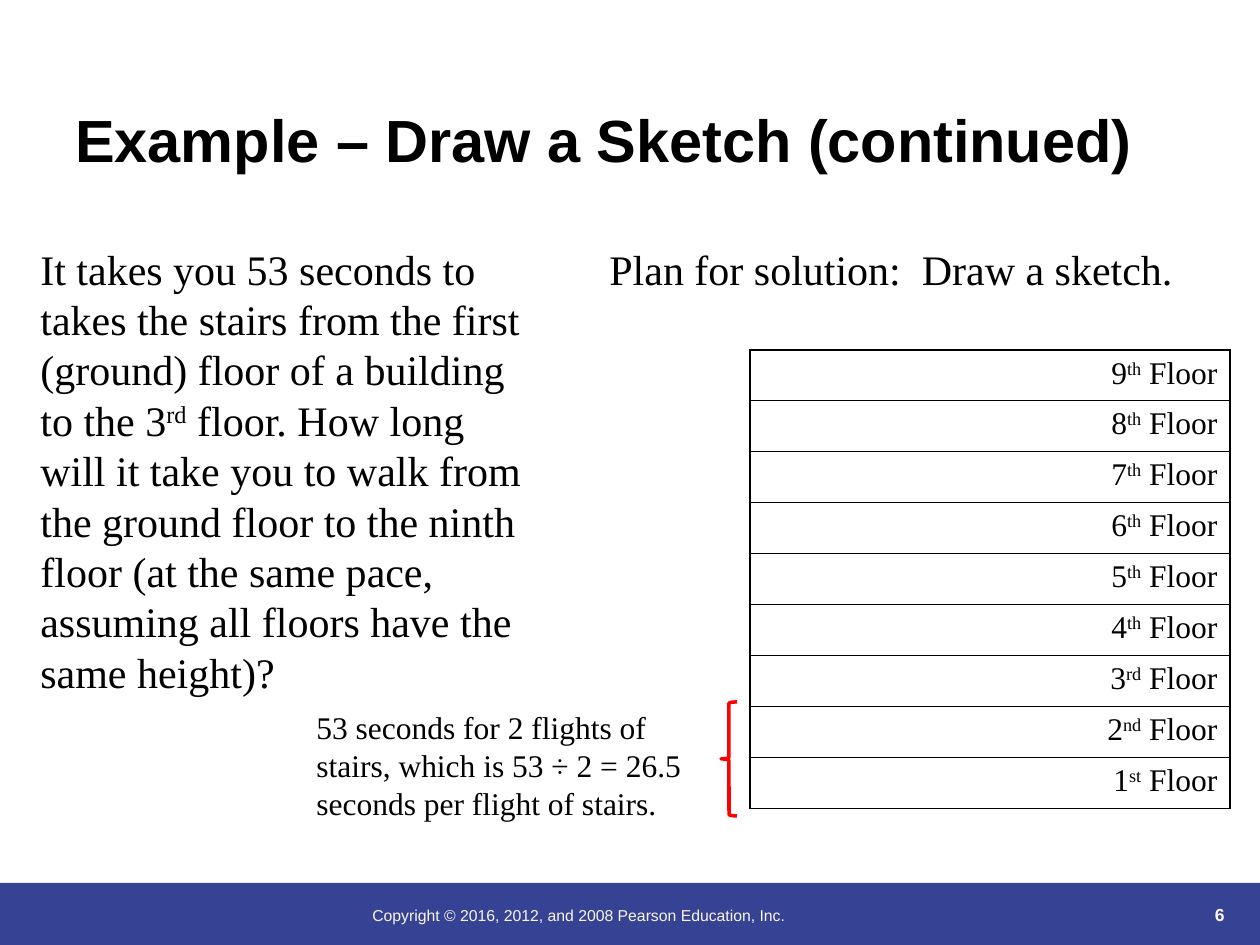
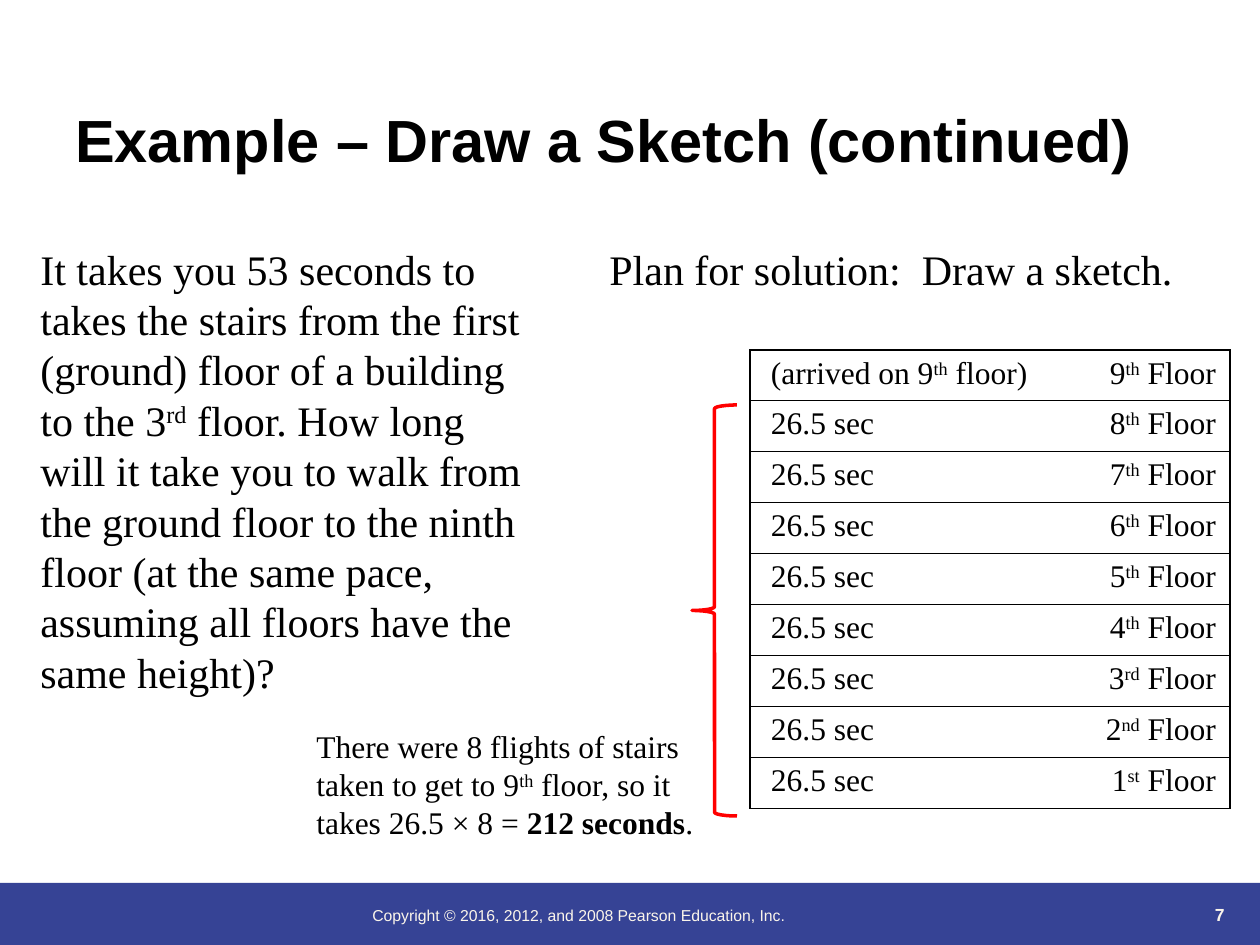
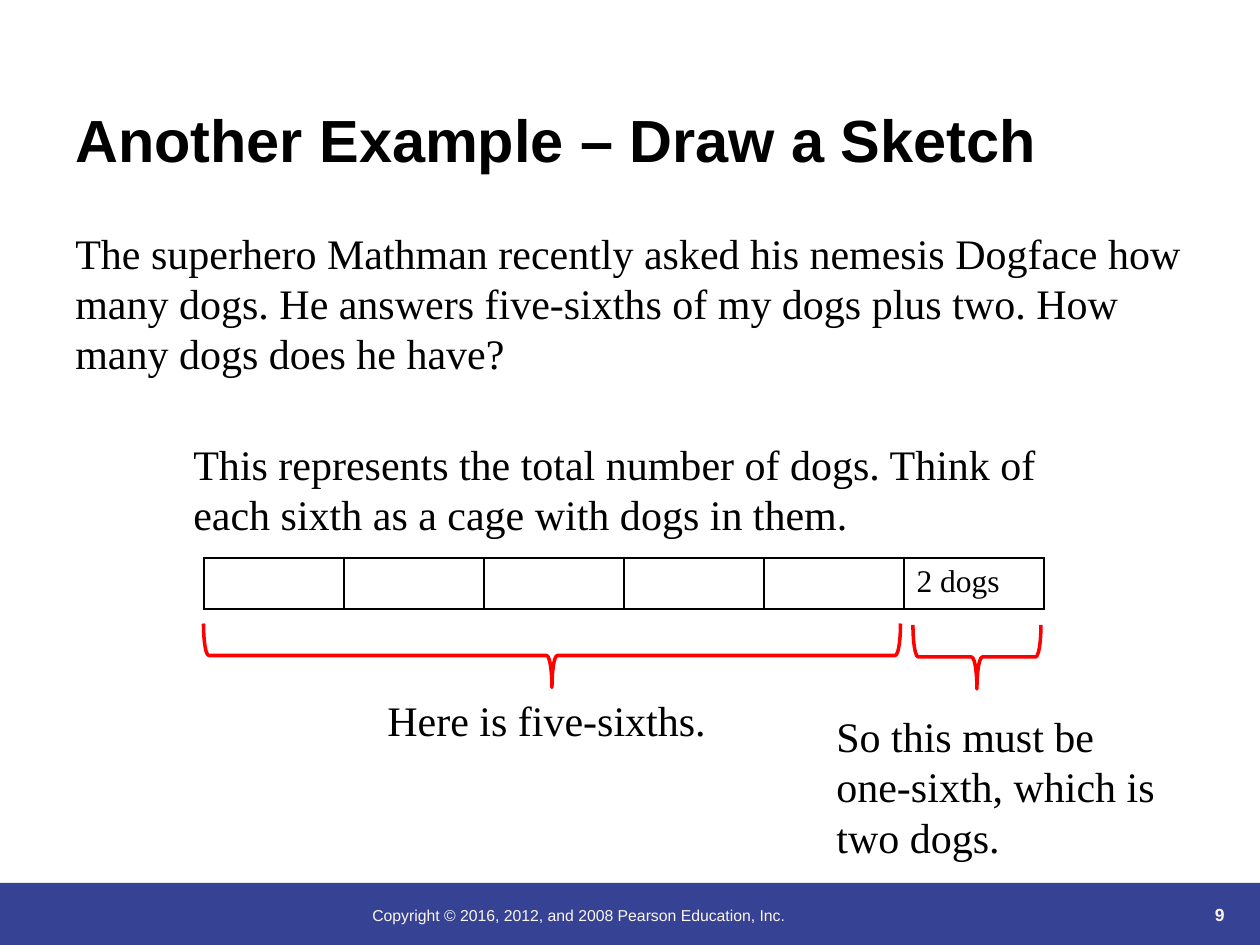
from pptx import Presentation, util as u
from pptx.dml.color import RGBColor
from pptx.enum import shapes, text
from pptx.oxml import parse_xml
from pptx.oxml.ns import nsdecls

PX = 914400 / 126
HUES = {"band": "364395", "pale": "FBF5EA", "ink": "000000", "mark": "FF0000"}
SERIF = {"name": "Times New Roman", "hue": "ink"}
FONTS = {
    "title": {"name": "Arial", "hue": "ink", "size": 34, "bold": True},
    "body": {**SERIF, "size": 24},
    "note": {**SERIF, "size": 18},
    "copy": {"name": "Arial", "hue": "pale", "size": 9},
    "page": {"name": "Arial", "hue": "pale", "size": 10, "bold": True},
}
ALIGN = text.PP_ALIGN
LOW = text.MSO_ANCHOR.BOTTOM


def px(*nums):
    return [u.Emu(round(n * PX)) for n in nums]


def write(frame, words, kind, align=ALIGN.LEFT):
    """Fill a text frame; ^...^ marks superscript and *...* marks bold."""
    para = frame.paragraphs[0]
    para.alignment = align
    for i, chunk in enumerate(words.split("^")):
        for j, part in enumerate(chunk.split("*")):
            if not part:
                continue
            run = para.add_run()
            run.text = part
            look = dict(FONTS[kind])
            run.font.color.rgb = RGBColor.from_string(HUES[look.pop("hue")])
            look["size"] = u.Pt(look["size"])
            if j % 2:
                look["bold"] = True
            for key, val in look.items():
                setattr(run.font, key, val)
            if i % 2:
                run.font._element.set("baseline", "30000")
    return para


deck = Presentation()
deck.slide_width, deck.slide_height = px(1260, 945)

TITLE = "Example – Draw a Sketch (continued)"
ASK = ("It takes you 53 seconds to takes the stairs from the first (ground) floor "
       "of a building to the 3^rd^ floor. How long will it take you to walk from the "
       "ground floor to the ninth floor (at the same pace, assuming all floors have "
       "the same height)?")
PLAN = "Plan for solution:  Draw a sketch."
FLOORS = [f"{n}^{({1: 'st', 2: 'nd', 3: 'rd'}).get(n, 'th')}^ Floor"
          for n in range(9, 0, -1)]
TIMES = ["(arrived on 9^th^ floor)"] + ["26.5 sec"] * 8
TOWER = {"at": (750, 350), "cols": [480], "rows": [33] + [51] * 8}
STEPS = [("body", (28, 237, 512, 464), ASK), ("body", (597, 237, 600, 83), PLAN)]

# Brace boxes are given unturned, followed by the turn in degrees.
pages = [
    {"page": 6, "title": TITLE,
     "grid": {**TOWER, "cells": FLOORS, "align": ALIGN.RIGHT},
     "texts": STEPS + [("note", (304, 702, 433, 127),
                        "53 seconds for 2 flights of stairs, which is 53 ÷ 2 = 26.5 "
                        "seconds per flight of stairs.")],
     "braces": [((721, 702, 16, 114), 0)]},
    {"page": 7, "title": TITLE,
     "grid": {**TOWER, "cells": [f"{t}\t{f}" for t, f in zip(TIMES, FLOORS)],
              "inset": 21, "tab": 445},
     "texts": STEPS + [("note", (304, 721, 433, 127),
                        "There were 8 flights of stairs taken to get to 9^th^ floor, "
                        "so it takes 26.5 × 8 = *212 seconds*.")],
     "braces": [((692, 405, 45, 411), 0)]},
    {"page": 9, "title": "Another Example – Draw a Sketch",
     "grid": {"at": (204, 558), "cols": [140] * 6, "rows": [51],
              "cells": [""] * 5 + ["2 dogs"]},
     "texts": [
         ("body", (63, 221, 1134, 199),
          "The superhero Mathman recently asked his nemesis Dogface how many dogs. He "
          "answers five-sixths of my dogs plus two. How many dogs does he have?"),
         ("body", (375, 688, 353, 63), "Here is five-sixths."),
         ("body", (181, 432, 885, 115),
          "This represents the total number of dogs. Think of each sixth as a cage "
          "with dogs in them."),
         ("body", (824, 704, 353, 159),
          "So this must be one-sixth, which is two dogs.")],
     "braces": [((520, 307, 64, 697), 270), ((945, 593, 64, 128), 270)]},
]

for page in pages:
    slide = deck.slides.add_slide(deck.slide_layouts[6])
    draw = slide.shapes

    band = draw.add_shape(shapes.MSO_SHAPE.RECTANGLE, *px(0, 883, 1260, 62))
    band.shadow.inherit = False
    band.fill.solid()
    band.fill.fore_color.rgb = RGBColor.from_string(HUES["band"])
    band.line.fill.background()

    frames = [
        ("copy", (360, 900, 620, 45),
         "Copyright © 2016, 2012, and 2008 Pearson Education, Inc."),
        ("page", (1121, 868, 116, 63), str(page["page"])),
        ("title", (63, 23, 1134, 158), page["title"]),
    ]
    for kind, spot, words in frames + page["texts"]:
        frame = draw.add_textbox(*px(*spot)).text_frame
        frame.word_wrap = True
        if kind in ("page", "title"):
            frame.vertical_anchor = LOW
        para = write(frame, words, kind, ALIGN.RIGHT if kind == "page" else ALIGN.LEFT)
        if kind in ("body", "note"):
            para.line_spacing = u.Pt(FONTS[kind]["size"] * 1.2)

    spec = page["grid"]
    cols, rows = spec["cols"], spec["rows"]
    grid = draw.add_table(len(rows), len(cols),
                          *px(*spec["at"], sum(cols), sum(rows))).table
    grid.first_row = grid.horz_banding = False
    for col, wide in zip(grid.columns, cols):
        col.width = px(wide)[0]
    for row, high in zip(grid.rows, rows):
        row.height = px(high)[0]
    for cell, words in zip(grid.iter_cells(), spec["cells"]):
        para = write(cell.text_frame, words, "note", spec.get("align", ALIGN.LEFT))
        if "tab" in spec:
            cell.margin_left = px(spec["inset"])[0]
            stop = px(spec["tab"])[0]
            para._p.get_or_add_pPr().append(parse_xml(
                f'<a:tabLst {nsdecls("a")}><a:tab pos="{stop}" algn="r"/></a:tabLst>'))
        for side in "LRTB":
            cell._tc.get_or_add_tcPr().append(parse_xml(
                f'<a:ln{side} {nsdecls("a")} w="12700"><a:solidFill>'
                f'<a:srgbClr val="{HUES["ink"]}"/></a:solidFill></a:ln{side}>'))
        cell.fill.background()

    for spot, turn in page["braces"]:
        brace = draw.add_shape(shapes.MSO_SHAPE.LEFT_BRACE, *px(*spot))
        brace.shadow.inherit = False
        brace.rotation = turn
        brace.fill.background()
        brace.line.color.rgb = RGBColor.from_string(HUES["mark"])
        brace.line.width = u.Pt(2)

deck.save("out.pptx")
